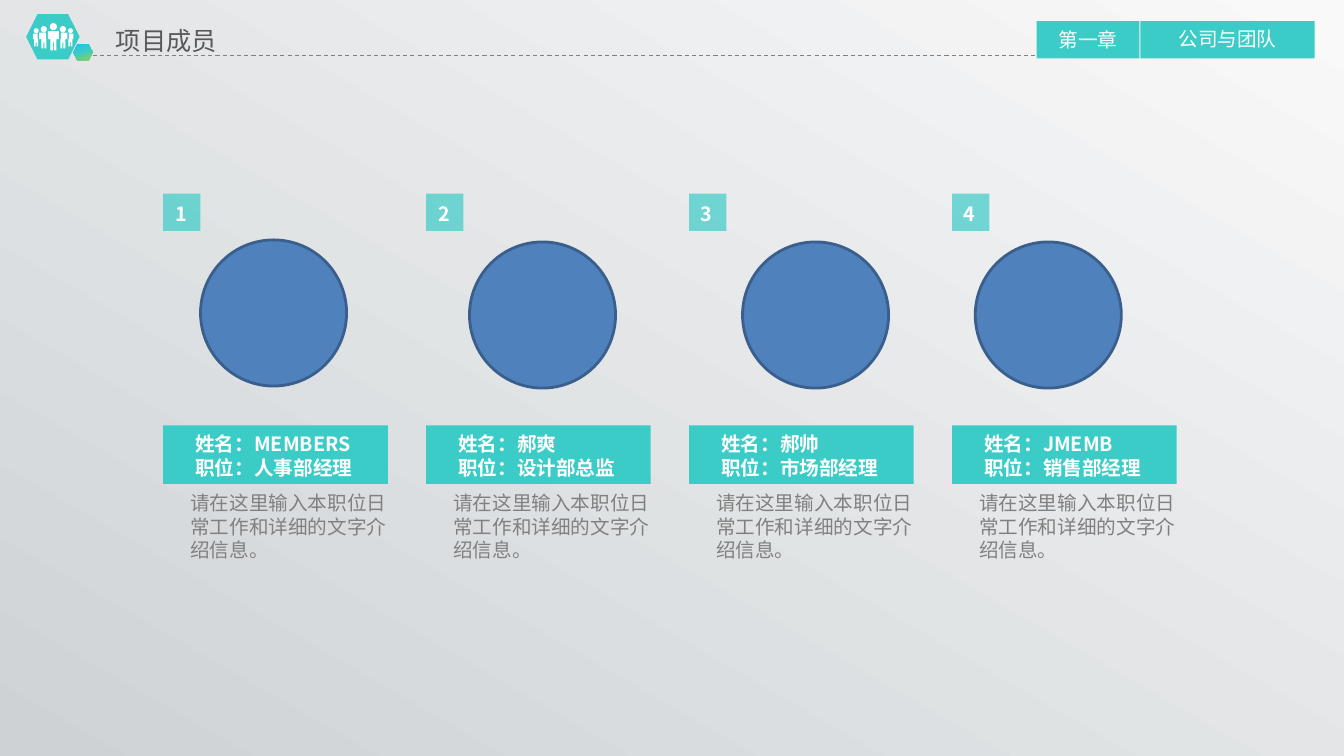
from dataclasses import dataclass
from math import cos, pi, sin

from lxml import etree
from pptx import Presentation
from pptx.dml.color import RGBColor
from pptx.enum.dml import MSO_LINE
from pptx.enum.shapes import MSO_CONNECTOR, MSO_SHAPE
from pptx.enum.text import MSO_ANCHOR, MSO_AUTO_SIZE, PP_ALIGN
from pptx.oxml.ns import qn
from pptx.util import Inches, Pt

RECTANGLE, HEXAGON, OVAL = MSO_SHAPE.RECTANGLE, MSO_SHAPE.HEXAGON, MSO_SHAPE.OVAL
STRAIGHT, DASH = MSO_CONNECTOR.STRAIGHT, MSO_LINE.DASH
TOP, MIDDLE = MSO_ANCHOR.TOP, MSO_ANCHOR.MIDDLE
LEFT, CENTER = PP_ALIGN.LEFT, PP_ALIGN.CENTER
NO_FIT = MSO_AUTO_SIZE.NONE

TEAL = RGBColor(0x3C, 0xCC, 0xC7)
GREEN = RGBColor(0x92, 0xD0, 0x50)
SKY = RGBColor(0x25, 0xBF, 0xF1)
BLUE = RGBColor(0x4F, 0x81, 0xBD)
NAVY = RGBColor(0x3A, 0x5F, 0x8C)
WHITE = RGBColor(0xFF, 0xFF, 0xFF)
GRAY = RGBColor(0x80, 0x80, 0x80)
DARK_GRAY = RGBColor(0x59, 0x59, 0x59)
SILVER = RGBColor(0xCE, 0xD2, 0xD5)
PALE = RGBColor(0xF9, 0xF9, 0xF9)

FONT = "Noto Sans CJK SC"
DUTIES = "请在这里输入本职位日常工作和详细的文字介绍信息。"
COLUMN_LEFT, COLUMN_STEP = 1.62, 2.61


@dataclass(frozen=True)
class Box:
    left: float
    top: float
    width: float
    height: float

    def lengths(self) -> list:
        return [Inches(v) for v in (self.left, self.top, self.width, self.height)]


@dataclass(frozen=True)
class Member:
    name: str
    post: str
    portrait_left: float
    portrait_top: float


@dataclass(frozen=True)
class Figure:
    center: float
    head_y: float
    radius: float
    shoulder: float
    hand: float
    foot: float
    outer: float
    inner: float
    leg: float
    side: int

    def head(self) -> list:
        angles = [2 * pi * step / 24 for step in range(24)]
        return [(self.center + self.radius * cos(a), self.head_y + self.radius * sin(a))
                for a in angles]

    def body(self) -> list:
        gap, hip = 0.005, self.hand + 0.03
        outline = [(-self.outer, self.shoulder), (self.inner, self.shoulder),
                   (self.inner, self.hand), (self.leg, self.hand), (self.leg, self.foot),
                   (gap, self.foot), (gap, hip), (-gap, hip), (-gap, self.foot),
                   (-self.leg, self.foot), (-self.leg, self.hand), (-self.outer, self.hand)]
        return [(self.center + self.side * x, y) for x, y in outline]


MEMBERS = [
    Member("MEMBERS", "人事部经理", 1.99, 2.38),
    Member("郝爽", "设计部总监", 4.66, 2.4),
    Member("郝帅", "市场部经理", 7.37, 2.4),
    Member("JMEMB", "销售部经理", 9.68, 2.4),
]
FIGURES = [Figure(0.53, 0.265, 0.035, 0.31, 0.39, 0.5, 0.055, 0.055, 0.03, 1)]
for side in (1, -1):
    FIGURES += [
        Figure(0.53 - side * 0.095, 0.29, 0.03, 0.325, 0.39, 0.48, 0.045, 0.02, 0.025, side),
        Figure(0.53 - side * 0.17, 0.305, 0.024, 0.335, 0.39, 0.46, 0.03, 0.015, 0.02, side),
    ]


def set_gradient(fill, owner, angle: int, stops: list) -> None:
    fill.gradient()
    fill.gradient_angle = angle
    stop_list = next(owner.iter(qn("a:gsLst")))
    for stop in list(stop_list):
        stop_list.remove(stop)
    for percent, color in stops:
        stop = etree.SubElement(stop_list, qn("a:gs"), pos=str(percent * 1000))
        etree.SubElement(stop, qn("a:srgbClr"), val=str(color))


def add_plain(page, kind, box: Box, color: RGBColor):
    shape = page.shapes.add_shape(kind, *box.lengths())
    shape.shadow.inherit = False
    shape.fill.solid()
    shape.fill.fore_color.rgb = color
    shape.line.fill.background()
    return shape


def write_text(frame, lines: list, size: int, color: RGBColor, bold: bool = False,
               align=LEFT, anchor=MIDDLE, insets: tuple = (0.1, 0.05)) -> None:
    frame.word_wrap = True
    frame.auto_size = NO_FIT
    frame.vertical_anchor = anchor
    frame.margin_left = frame.margin_right = Inches(insets[0])
    frame.margin_top = frame.margin_bottom = Inches(insets[1])
    frame.text = "\n".join(lines)
    for paragraph in frame.paragraphs:
        paragraph.alignment = align
        font = paragraph.font
        font.size, font.bold, font.name = Pt(size), bold, FONT
        font.color.rgb = color
        defaults = paragraph._p.pPr.find(qn("a:defRPr"))
        etree.SubElement(defaults, qn("a:ea"), typeface=FONT)


def add_text(page, box: Box, lines: list, color: RGBColor, **style) -> None:
    frame = page.shapes.add_textbox(*box.lengths()).text_frame
    write_text(frame, lines, 14, color, **style)


def add_people(page) -> None:
    contours = [c for figure in FIGURES for c in (figure.head(), figure.body())]
    contours = [[(Inches(x), Inches(y)) for x, y in c] for c in contours]
    builder = page.shapes.build_freeform(*contours[0][0])
    builder.add_line_segments(contours[0][1:], close=True)
    for contour in contours[1:]:
        builder.move_to(*contour[0])
        builder.add_line_segments(contour[1:], close=True)
    people = builder.convert_to_shape()
    people.shadow.inherit = False
    people.fill.solid()
    people.fill.fore_color.rgb = WHITE
    people.line.fill.background()


def add_header(page) -> None:
    title = page.shapes.title
    title.left, title.top, title.width, title.height = Box(1.08, 0.21, 2.05, 0.38).lengths()
    write_text(title.text_frame, ["项目成员"], 18, DARK_GRAY, anchor=TOP, insets=(0.07, 0.04))
    add_plain(page, HEXAGON, Box(0.26, 0.14, 0.53, 0.45), TEAL)
    rule = page.shapes.add_connector(STRAIGHT, Inches(0.92), Inches(0.55),
                                     Inches(10.29), Inches(0.55))
    rule.line.color.rgb = GRAY
    rule.line.width = Pt(0.75)
    rule.line.dash_style = DASH
    etree.SubElement(rule._element.spPr, qn("a:effectLst"))
    add_people(page)
    accent = add_plain(page, HEXAGON, Box(0.73, 0.44, 0.19, 0.16), TEAL)
    set_gradient(accent.fill, accent._element, 110, [(0, GREEN), (52, TEAL), (100, SKY)])
    for label, left, width, top in (("第一章", 10.29, 1.02, 0.24),
                                    ("公司与团队", 11.32, 1.73, 0.23)):
        add_plain(page, RECTANGLE, Box(left, 0.21, width, 0.37), TEAL)
        add_text(page, Box(left, top, width, 0.31), [label], WHITE,
                 align=CENTER, anchor=TOP, insets=(0.07, 0.04))


def add_member(page, index: int, member: Member) -> None:
    left = COLUMN_LEFT + index * COLUMN_STEP
    add_plain(page, RECTANGLE, Box(left, 4.22, 2.23, 0.58), TEAL)
    add_text(page, Box(left + 0.22, 4.26, 2.01, 0.52),
             [f"姓名：{member.name}", f"职位：{member.post}"], WHITE, bold=True)
    add_text(page, Box(left + 0.17, 4.96, 2.17, 0.52), [DUTIES], GRAY)
    badge = add_plain(page, RECTANGLE, Box(left, 1.92, 0.37, 0.37), TEAL)
    tint = next(badge._element.spPr.iter(qn("a:srgbClr")))
    etree.SubElement(tint, qn("a:alpha"), val="70000")
    add_text(page, Box(left + 0.02, 1.86, 0.43, 0.52), [str(index + 1)], WHITE, bold=True)
    portrait = add_plain(page, OVAL,
                         Box(member.portrait_left, member.portrait_top, 1.45, 1.45), BLUE)
    portrait.line.color.rgb = NAVY
    portrait.line.width = Pt(2)


def main() -> None:
    deck = Presentation()
    deck.slide_width, deck.slide_height = Inches(13.34), Inches(7.5)
    page = deck.slides.add_slide(deck.slide_layouts[5])
    set_gradient(page.background.fill, page._element, 60, [(0, SILVER), (100, PALE)])
    add_header(page)
    for index, member in enumerate(MEMBERS):
        add_member(page, index, member)
    deck.save("out.pptx")


if __name__ == "__main__":
    main()
